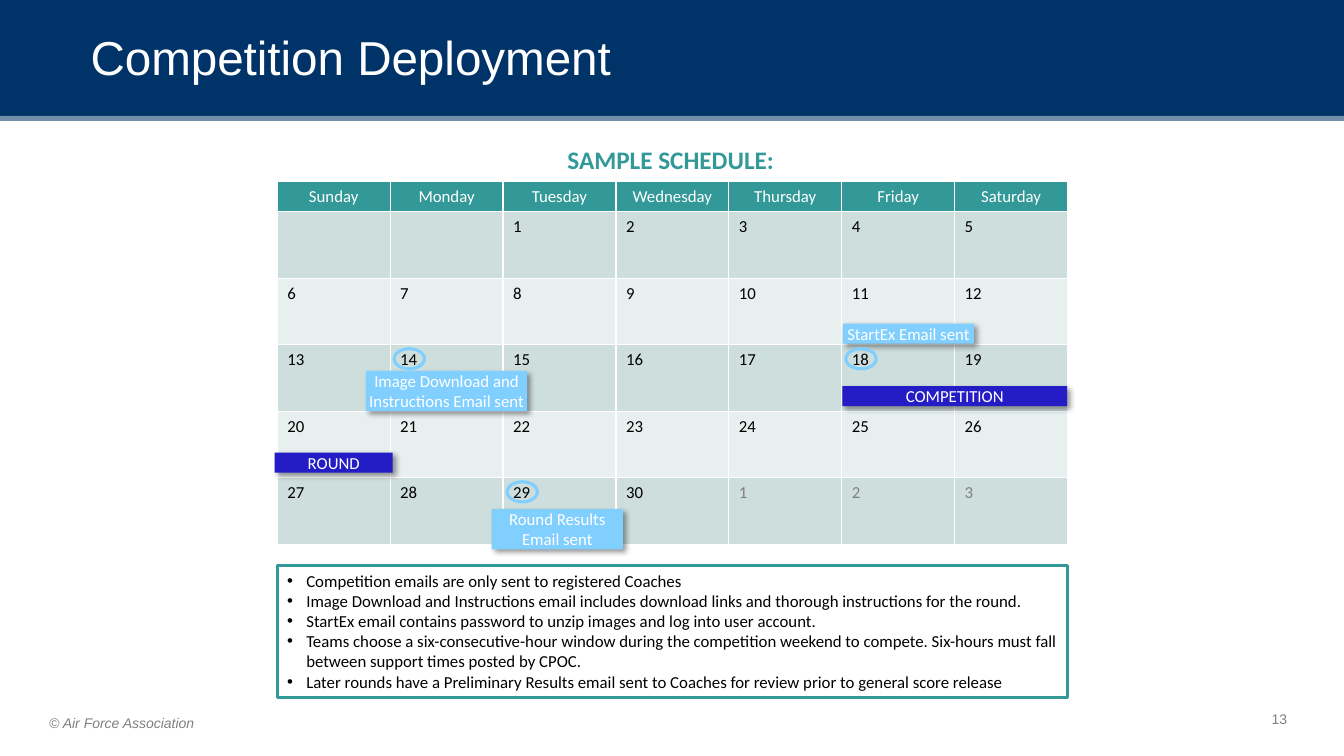
from lxml.etree import SubElement
from pptx import Presentation
from pptx.dml.color import RGBColor
from pptx.enum.shapes import MSO_CONNECTOR, MSO_SHAPE
from pptx.enum.text import MSO_ANCHOR, PP_ALIGN
from pptx.oxml import parse_xml
from pptx.oxml.ns import nsdecls, qn
from pptx.util import Inches, Pt

WIDTH, HEIGHT = 13.33, 7.5
LEFT, TOP = 2.75, 1.8
COLUMN, HEADER, WEEK = 1.12, 0.3, 0.66
LINE = 0.2

NAVY, TEAL, WHITE, BLACK, GRAY = "003468", "329998", "FFFFFF", "000000", "808080"
INDIGO, SKY = "241CC4", "81CFFF"
WEEK_FILLS = ("CEDEDD", "E8EFEF")

DAYS = ("Sunday", "Monday", "Tuesday", "Wednesday", "Thursday", "Friday", "Saturday")
FIRST_DAY, MONTH_LENGTH, WEEKS = 2, 30, 5

# text, fill, centre in columns, week, offset below the week's top, width, text lines
TAGS = (
    ("COMPETITION", INDIGO, 6, 2, 0.41, 2.23, 1),
    ("ROUND", INDIGO, 0.5, 3, 0.41, 1.17, 1),
    ("Image Download and Instructions Email sent", SKY, 1.5, 2, 0.26, 1.6, 2),
    ("StartEx Email sent", SKY, 5.59, 1, 0.45, 1.3, 1),
    ("Round Results Email sent", SKY, 2.48, 4, 0.31, 1.3, 2),
)
RINGED_DATES = (14, 18, 29)

NOTES = (
    "Competition emails are only sent to registered Coaches",
    "Image Download and Instructions email includes download links and thorough instructions for the round.",
    "StartEx email contains password to unzip images and log into user account.",
    "Teams choose a six-consecutive-hour window during the competition weekend to compete. "
    "Six-hours must fall between support times posted by CPOC.",
    "Later rounds have a Preliminary Results email sent to Coaches for review prior to general score release",
)


def color(value):
    return RGBColor.from_string(value)


def column_x(column):
    return LEFT + column * COLUMN


def week_y(week):
    return TOP + HEADER + week * WEEK


def style(paragraph, size, ink, font="Calibri", align=PP_ALIGN.LEFT, bold=False, italic=False):
    paragraph.alignment = align
    paragraph.font.size = Pt(size)
    paragraph.font.name = font
    paragraph.font.bold = bold
    paragraph.font.italic = italic
    paragraph.font.color.rgb = color(ink)


def add_panel(slide, preset, left, top, width, height, fill=None, line=None, weight=0):
    panel = slide.shapes.add_shape(preset, *map(Inches, (left, top, width, height)))
    panel.shadow.inherit = False
    if fill:
        panel.fill.solid()
        panel.fill.fore_color.rgb = color(fill)
    else:
        panel.fill.background()
    if line:
        panel.line.color.rgb = color(line)
        panel.line.width = Pt(weight)
    else:
        panel.line.fill.background()
    return panel


def add_label(slide, text, left, top, width, height, size, ink, wrap=True,
              anchor=MSO_ANCHOR.TOP, **look):
    frame = slide.shapes.add_textbox(*map(Inches, (left, top, width, height))).text_frame
    frame.word_wrap = wrap
    frame.vertical_anchor = anchor
    frame.text = text
    style(frame.paragraphs[0], size, ink, **look)


def add_banner(slide):
    add_panel(slide, MSO_SHAPE.RECTANGLE, 0, 0, WIDTH, 1.2, NAVY)
    edge = slide.shapes.add_connector(
        MSO_CONNECTOR.STRAIGHT, *map(Inches, (0, 1.18, WIDTH, 1.18)))
    edge.line.color.rgb = color(WHITE)
    edge.line.width = Pt(4.5)
    SubElement(next(edge.line._ln.iter(qn("a:srgbClr"))), qn("a:alpha"), val="44000")
    SubElement(edge._element.spPr, qn("a:effectLst"))
    add_label(slide, "Competition Deployment", 0.8, 0.25, 11.87, 0.63, 34, WHITE,
              anchor=MSO_ANCHOR.MIDDLE, font="Arial")


def fill_cell(cell, text, fill, ink, align=PP_ALIGN.LEFT):
    cell.fill.solid()
    cell.fill.fore_color.rgb = color(fill)
    cell.text = text
    style(cell.text_frame.paragraphs[0], 12, ink, align=align)


def add_calendar(slide):
    table = slide.shapes.add_table(
        WEEKS + 1, len(DAYS), Inches(LEFT), Inches(TOP),
        Inches(COLUMN * len(DAYS)), Inches(HEADER + WEEK * WEEKS)).table
    table.rows[0].height = Inches(HEADER)
    for column, day in enumerate(DAYS):
        table.columns[column].width = Inches(COLUMN)
        fill_cell(table.cell(0, column), day, TEAL, WHITE, PP_ALIGN.CENTER)
    for week in range(WEEKS):
        table.rows[week + 1].height = Inches(WEEK)
        for column in range(len(DAYS)):
            date = week * len(DAYS) + column - FIRST_DAY + 1
            next_month = date > MONTH_LENGTH
            shown = date - MONTH_LENGTH if next_month else date
            fill_cell(table.cell(week + 1, column), str(shown) if date > 0 else "",
                      WEEK_FILLS[week % 2], GRAY if next_month else BLACK)


def add_tag(slide, text, fill, center, week, offset, width, lines):
    tag = add_panel(slide, MSO_SHAPE.RECTANGLE, column_x(center) - width / 2,
                    week_y(week) + offset, width, LINE * lines, fill)
    effects = tag._element.spPr.find(qn("a:effectLst"))
    effects.append(parse_xml(
        f'<a:outerShdw {nsdecls("a")} blurRad="{Pt(4)}" dist="{Pt(3)}" dir="2700000" '
        'algn="tl" rotWithShape="0"><a:srgbClr val="000000"><a:alpha val="40000"/>'
        '</a:srgbClr></a:outerShdw>'))
    frame = tag.text_frame
    frame.margin_left = frame.margin_right = frame.margin_top = frame.margin_bottom = 0
    frame.word_wrap = True
    frame.vertical_anchor = MSO_ANCHOR.MIDDLE
    frame.text = text
    style(frame.paragraphs[0], 12, WHITE, align=PP_ALIGN.CENTER)


def ring_date(slide, date):
    week, column = divmod(date + FIRST_DAY - 1, len(DAYS))
    add_panel(slide, MSO_SHAPE.OVAL, column_x(column) + 0.04, week_y(week) + 0.04,
              0.3, LINE, line=SKY, weight=2.25)


def add_notes_box(slide):
    box = add_panel(slide, MSO_SHAPE.RECTANGLE, LEFT, 5.61, COLUMN * len(DAYS), 1.31,
                    WHITE, TEAL, 2)
    frame = box.text_frame
    frame.word_wrap = True
    frame.vertical_anchor = MSO_ANCHOR.TOP
    frame.text = "\n".join(NOTES)
    for paragraph in frame.paragraphs:
        properties = paragraph._p.get_or_add_pPr()
        properties.set("marL", str(Inches(0.19)))
        properties.set("indent", str(-Inches(0.19)))
        SubElement(properties, qn("a:buFont"), typeface="Arial")
        SubElement(properties, qn("a:buChar"), char="•")
        style(paragraph, 12, BLACK)


def main():
    deck = Presentation()
    deck.slide_width, deck.slide_height = Inches(WIDTH), Inches(HEIGHT)
    slide = deck.slides.add_slide(deck.slide_layouts[6])
    add_banner(slide)
    add_label(slide, "SAMPLE SCHEDULE:", 5.53, 1.38, 2.27, 0.4, 18, TEAL, wrap=False, bold=True)
    add_calendar(slide)
    for tag in TAGS:
        add_tag(slide, *tag)
    for date in RINGED_DATES:
        ring_date(slide, date)
    add_notes_box(slide)
    add_label(slide, "© Air Force Association", 0.39, 7.04, 4.56, 0.27, 10, GRAY,
              font="Arial", italic=True)
    add_label(slide, "13", 12.32, 6.93, 0.74, 0.4, 10, GRAY, anchor=MSO_ANCHOR.MIDDLE,
              font="Arial", align=PP_ALIGN.CENTER)
    deck.save("out.pptx")


if __name__ == "__main__":
    main()
